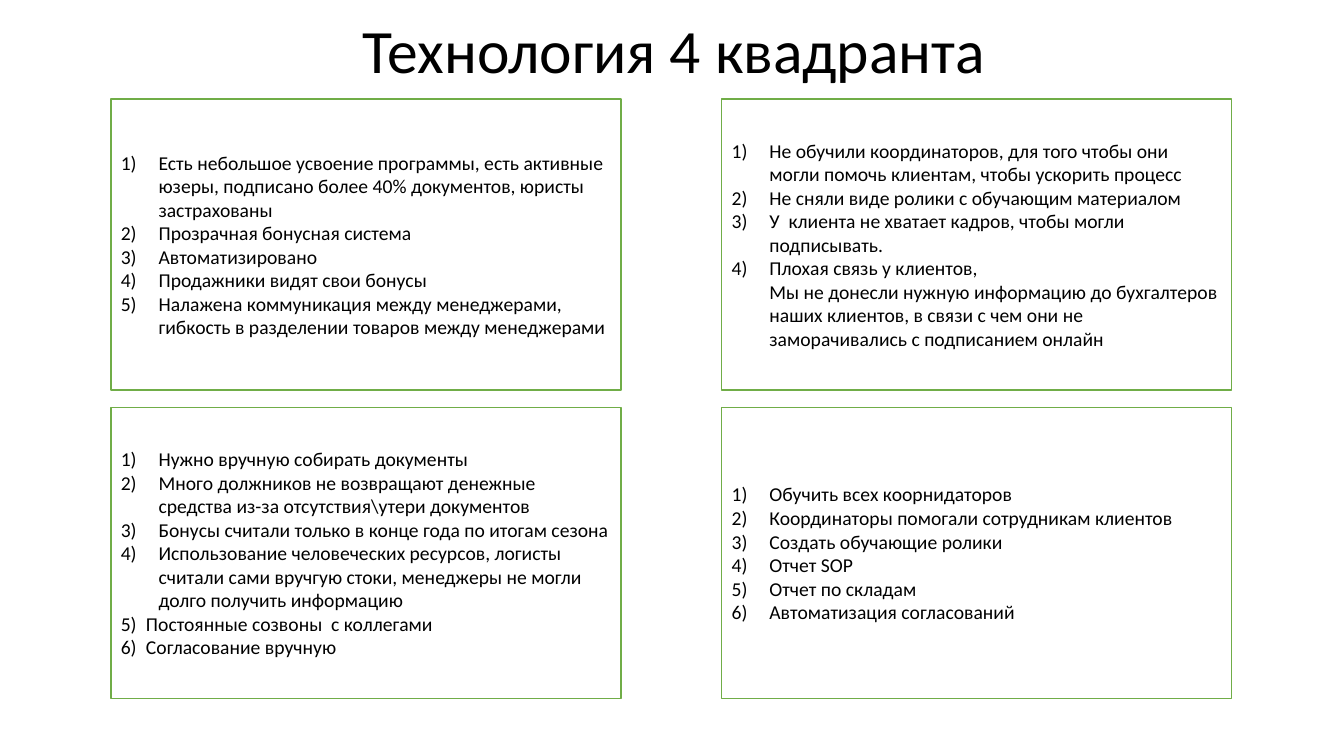
from lxml.etree import SubElement
from pptx import Presentation
from pptx.dml.color import RGBColor
from pptx.enum.shapes import MSO_SHAPE as SHAPE
from pptx.enum.text import MSO_ANCHOR as ANCHOR, PP_ALIGN as ALIGN
from pptx.oxml.ns import qn
from pptx.util import Pt

BLACK = RGBColor(0x00, 0x00, 0x00)
WHITE = RGBColor(0xFF, 0xFF, 0xFF)
GREEN = RGBColor(0x70, 0xAD, 0x47)

LEFT, TOP = 79.2, 70.6
BOX_W, BOX_H = 364.3, 208.1
STEP_X, STEP_Y = 436.3, 220.3
WIDE, NARROW = 27, 18  # hanging indents of the numbers

# Each quadrant: row by row, left to right
quadrants = [
    ["Есть небольшое усвоение программы, есть активные юзеры, подписано более 40% документов, юристы застрахованы",
     "Прозрачная бонусная система",
     "Автоматизировано",
     "Продажники видят свои бонусы",
     "Налажена коммуникация между менеджерами, гибкость в разделении товаров между менеджерами"],
    ["Не обучили координаторов, для того чтобы они могли помочь клиентам, чтобы ускорить процесс",
     "Не сняли виде ролики с обучающим материалом",
     "У  клиента не хватает кадров, чтобы могли подписывать.",
     "Плохая связь у клиентов,\nМы не донесли нужную информацию до бухгалтеров наших клиентов, "
     "в связи с чем они не заморачивались с подписанием онлайн"],
    ["Нужно вручную собирать документы",
     "Много должников не возвращают денежные средства из-за отсутствия\\утери документов",
     "Бонусы считали только в конце года по итогам сезона",
     "Использование человеческих ресурсов, логисты считали сами вручгую стоки, "
     "менеджеры не могли долго получить информацию",
     "Постоянные созвоны  с коллегами",
     "Согласование вручную"],
    ["Обучить всех коорнидаторов",
     "Координаторы помогали сотрудникам клиентов",
     "Создать обучающие ролики",
     "Отчет SOP",
     "Отчет по складам",
     "Автоматизация согласований"],
]
narrow_items = {"Постоянные созвоны  с коллегами", "Согласование вручную"}


def write(p, text, size, align):
    p.text = text
    p.alignment = align
    for r in p.runs:
        for name, value in {"name": "Calibri", "size": Pt(size)}.items():
            setattr(r.font, name, value)
        r.font.color.rgb = BLACK
    for br in p._p.findall(qn("a:br")):
        SubElement(br, qn("a:rPr"), sz=str(size * 100))


def number(p, indent):
    pPr = p._p.get_or_add_pPr()
    pPr.set("marL", str(Pt(indent)))
    pPr.set("indent", str(-Pt(indent)))
    SubElement(pPr, qn("a:buFont"), typeface="+mj-lt")
    SubElement(pPr, qn("a:buAutoNum"), type="arabicParenR")


prs = Presentation()
prs.slide_width, prs.slide_height = Pt(960), Pt(540)
s = prs.slides.add_slide(prs.slide_layouts[6])

# Quadrants with numbered lists
for i, items in enumerate(quadrants):
    row, col = divmod(i, 2)
    sp = s.shapes.add_shape(SHAPE.RECTANGLE, Pt(LEFT + col * STEP_X), Pt(TOP + row * STEP_Y),
                            Pt(BOX_W), Pt(BOX_H))
    sp.shadow.inherit = False
    sp.fill.solid()
    sp.fill.fore_color.rgb = WHITE
    sp.line.color.rgb = GREEN
    sp.line.width = Pt(1)
    tf = sp.text_frame
    tf.word_wrap = True
    tf.vertical_anchor = ANCHOR.MIDDLE
    for j, item in enumerate(items):
        p = tf.add_paragraph() if j else tf.paragraphs[0]
        write(p, item, 14, ALIGN.LEFT)
        number(p, NARROW if item in narrow_items else WIDE)

# Title
tf = s.shapes.add_textbox(Pt(69.1), Pt(10.8), Pt(825.1), Pt(63.4)).text_frame
tf.word_wrap = True
p = tf.paragraphs[0]
write(p, "Технология 4 квадранта", 44, ALIGN.CENTER)
p.line_spacing = 0.9

prs.save("out.pptx")
